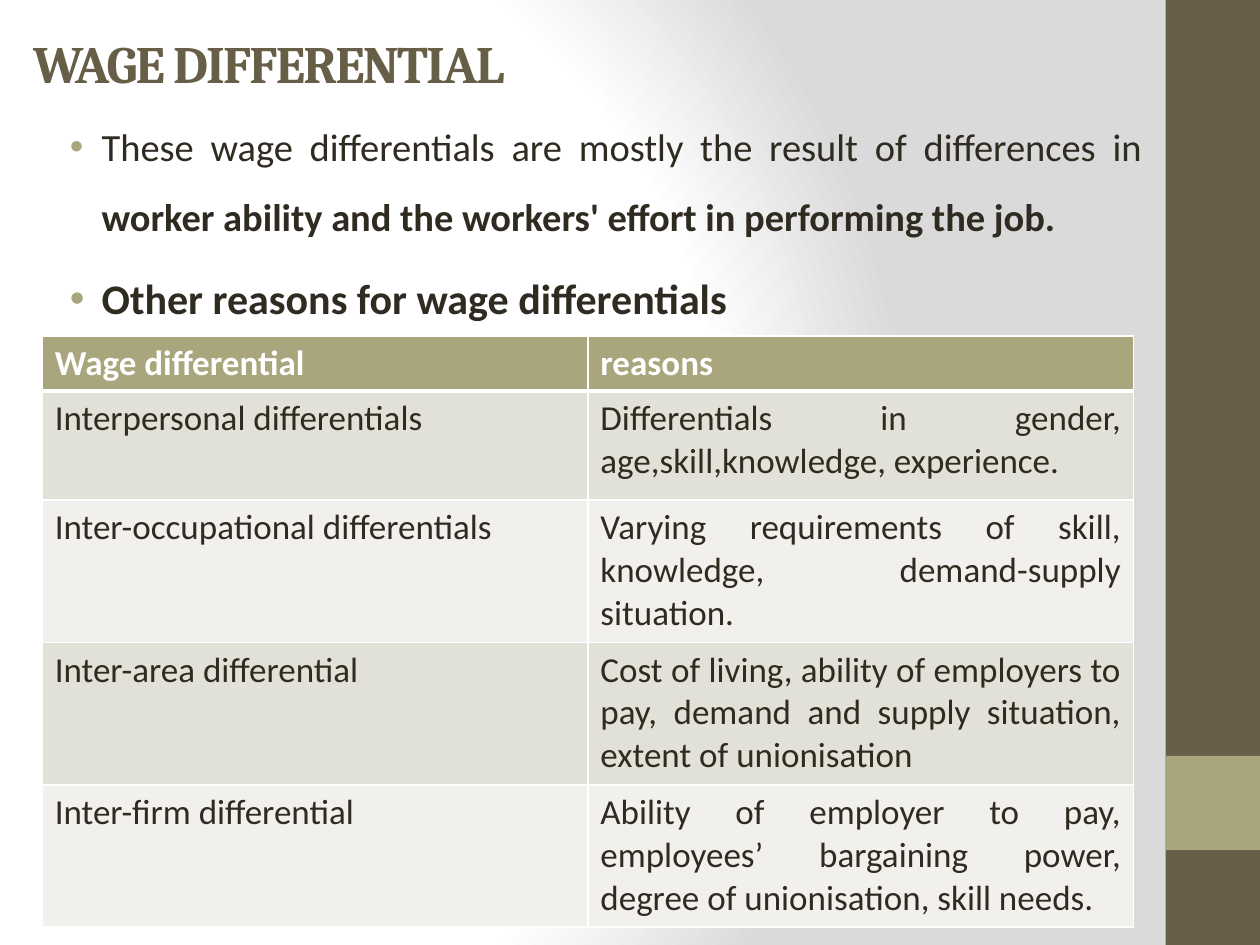
from lxml.etree import SubElement
from pptx import Presentation
from pptx.dml.color import RGBColor
from pptx.enum.shapes import MSO_SHAPE as Shape
from pptx.enum.text import MSO_ANCHOR as Anchor, PP_ALIGN as Align
from pptx.oxml.ns import qn
from pptx.util import Cm, Pt

BROWN, OLIVE, INK, WHITE = "675E47", "A9A57C", "2F2B20", "FFFFFF"
BANDS = ["E2E1D7", "F1F0EC"]
ROWS = [
    ("Wage differential", "reasons"),
    ("Interpersonal differentials",
     "Differentials in gender, age,skill,knowledge, experience."),
    ("Inter-occupational differentials",
     "Varying requirements of skill, knowledge, demand-supply situation."),
    ("Inter-area differential",
     "Cost of living, ability of employers to pay, demand and supply situation, "
     "extent of unionisation"),
    ("Inter-firm differential",
     "Ability of employer to pay, employees’ bargaining power, "
     "degree of unionisation, skill needs."),
]
ROW_HEIGHTS = [1.11, 2.2, 2.87, 2.87, 2.87]
BULLETS = [
    [("These wage differentials are mostly the result of differences in ", 22, False),
     ("worker ability and the workers' effort in performing the job. ", 22, True)],
    [("Other reasons for wage differentials", 24, True)],
]


def color(value):
    return RGBColor.from_string(value)


def apply(target, values):
    for name, value in values.items():
        setattr(target, name, value)


def add_element(parent, tag, **attributes):
    return SubElement(parent, qn(tag), {k: str(v) for k, v in attributes.items()})


def add_color(parent, value):
    add_element(parent, "a:srgbClr", val=value)


def set_background(slide):
    fill = slide.background.fill
    fill.gradient()
    gradient = slide.element.find(".//" + qn("a:gradFill"))
    for child in list(gradient):
        gradient.remove(child)
    stops = add_element(gradient, "a:gsLst")
    for position, value in [(0, WHITE), (75000, WHITE), (100000, "DADADA")]:
        add_color(add_element(stops, "a:gs", pos=position), value)
    focus = add_element(gradient, "a:path", path="circle")
    add_element(focus, "a:fillToRect", l=20000, t=50000, r=100000, b=50000)


def add_block(slide, top, height, fill):
    shape = slide.shapes.add_shape(Shape.RECTANGLE, Cm(23.5), Cm(top), Cm(1.9), Cm(height))
    shape.shadow.inherit = False
    shape.fill.solid()
    shape.fill.fore_color.rgb = color(fill)
    shape.line.fill.background()


def add_text_frame(slide, left, top, width, height, anchor):
    box = slide.shapes.add_textbox(Cm(left), Cm(top), Cm(width), Cm(height))
    apply(box.text_frame, {"word_wrap": True, "vertical_anchor": anchor})
    return box.text_frame


def add_run(paragraph, text, size, fill, bold, name="Calibri"):
    run = paragraph.add_run()
    run.text = text
    apply(run.font, {"name": name, "size": Pt(size), "bold": bold})
    run.font.color.rgb = color(fill)
    return run


def add_title(slide, text):
    frame = add_text_frame(slide, 0.42, 0, 21.17, 2.54, Anchor.MIDDLE)
    run = add_run(frame.paragraphs[0], text, 30, BROWN, True, "Cambria")
    run.font._element.set("spc", "-100")


def add_bullets(slide, bullets):
    frame = add_text_frame(slide, 0.85, 1.9, 22.43, 14.4, Anchor.TOP)
    for index, runs in enumerate(bullets):
        paragraph = frame.add_paragraph() if index else frame.paragraphs[0]
        apply(paragraph, {"alignment": Align.JUSTIFY, "line_spacing": 1.5,
                          "space_before": Pt(0.2 * runs[0][1])})
        properties = paragraph._p.get_or_add_pPr()
        properties.set("marL", str(Cm(0.95)))
        properties.set("indent", str(Cm(-0.64)))
        add_color(add_element(properties, "a:buClr"), OLIVE)
        add_element(properties, "a:buFont", typeface="Arial")
        add_element(properties, "a:buChar", char="•")
        for text, size, bold in runs:
            add_run(paragraph, text, size, INK, bold)


def set_borders(cell, row):
    widths = {"L": 1, "R": 1, "T": 3 if row == 1 else 1, "B": 1 if row else 3}
    properties = cell._tc.get_or_add_tcPr()
    for side, width in widths.items():
        line = add_element(properties, "a:ln" + side, w=Pt(width))
        add_color(add_element(line, "a:solidFill"), WHITE)


def fill_cell(cell, row, text):
    set_borders(cell, row)
    cell.fill.solid()
    cell.fill.fore_color.rgb = color(BANDS[(row - 1) % 2] if row else OLIVE)
    paragraph = cell.text_frame.paragraphs[0]
    paragraph.alignment = Align.JUSTIFY
    add_run(paragraph, text, 20, INK if row else WHITE, row == 0)


def add_reasons_table(slide, rows, heights):
    frame = slide.shapes.add_table(len(rows), len(rows[0]), Cm(0.85), Cm(6.77),
                                   Cm(22), Cm(sum(heights)))
    table = frame.table
    for row, (texts, height) in enumerate(zip(rows, heights)):
        table.rows[row].height = Cm(height)
        for column, text in enumerate(texts):
            fill_cell(table.cell(row, column), row, text)


def main():
    presentation = Presentation()
    apply(presentation, {"slide_width": Cm(25.4), "slide_height": Cm(19.05)})
    slide = presentation.slides.add_slide(presentation.slide_layouts[6])
    set_background(slide)
    add_block(slide, 0, 19.05, BROWN)
    add_block(slide, 15.24, 1.9, OLIVE)
    add_title(slide, "WAGE DIFFERENTIAL")
    add_bullets(slide, BULLETS)
    add_reasons_table(slide, ROWS, ROW_HEIGHTS)
    presentation.save("out.pptx")


if __name__ == "__main__":
    main()
